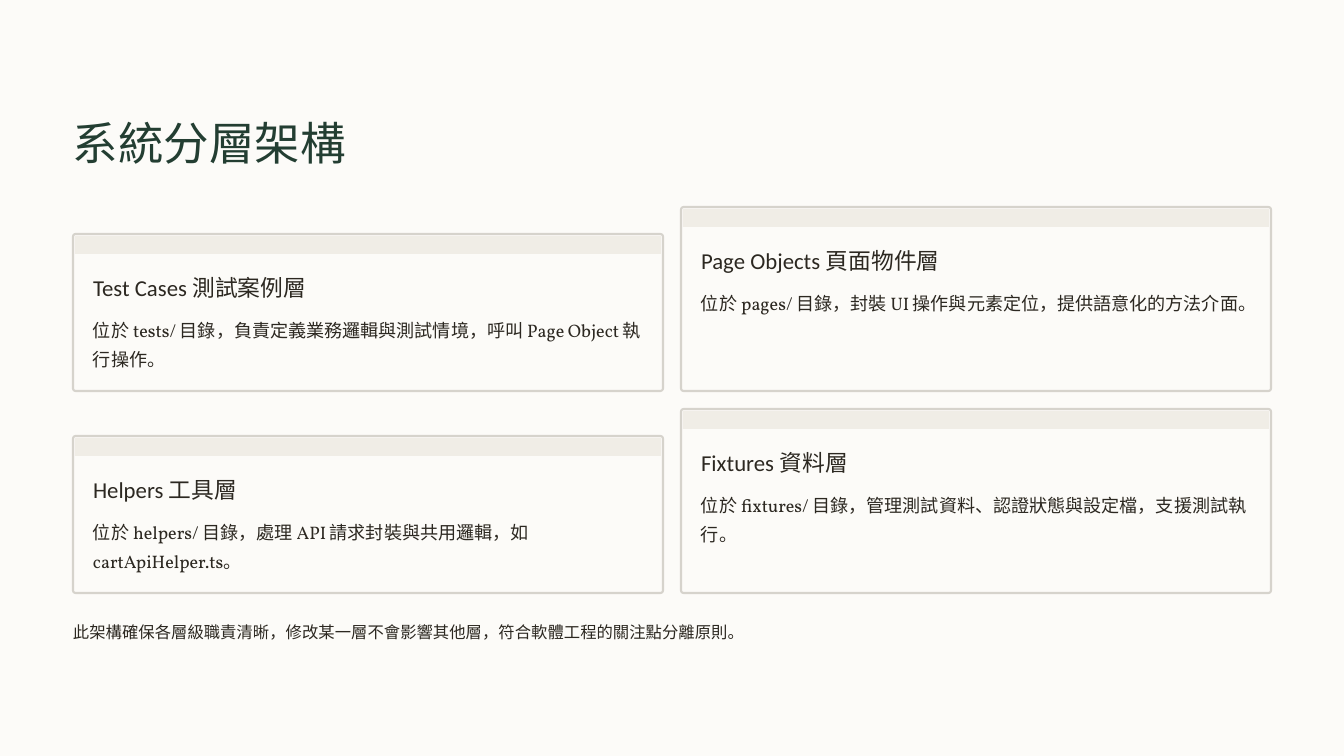
"""Build a slide showing the four layers of a test system."""
from pptx import Presentation
from pptx.dml.color import RGBColor
from pptx.enum.shapes import MSO_SHAPE as SHAPE
from pptx.util import Pt

PX = 914400 // 84
COLORS = {"paper": "FCFBF8", "band": "F0EDE6", "border": "D6D3CC",
          "title": "233E32", "text": "2C2821"}
LEFT, CARD_W, COL_STEP = 73, 590, 608
BOTTOM, ROW_STEP = 391, 202
CARD_HEIGHTS = [157, 184]
PAD, INSET, BAND_H = 20, 2, 18
RADIUS = 2.7

LAYERS = [
    ("Test Cases 測試案例層",
     "位於 tests/ 目錄，負責定義業務邏輯與測試情境，呼叫 Page Object 執行操作。"),
    ("Page Objects 頁面物件層",
     "位於 pages/ 目錄，封裝 UI 操作與元素定位，提供語意化的方法介面。"),
    ("Helpers 工具層",
     "位於 helpers/ 目錄，處理 API 請求封裝與共用邏輯，如 cartApiHelper.ts。"),
    ("Fixtures 資料層",
     "位於 fixtures/ 目錄，管理測試資料、認證狀態與設定檔，支援測試執行。"),
]

prs = Presentation()
prs.slide_width, prs.slide_height = 1344 * PX, 756 * PX
s = prs.slides.add_slide(prs.slide_layouts[6])
s.background.fill.solid()
s.background.fill.fore_color.rgb = RGBColor.from_string(COLORS["paper"])


def add_text(text, x, y, w, h, size, spacing, font="Calibri", color="text", wrap=False):
    tf = s.shapes.add_textbox(x * PX, y * PX, w * PX, h * PX).text_frame
    tf.margin_left = tf.margin_top = tf.margin_right = tf.margin_bottom = 0
    tf.word_wrap = wrap
    p = tf.paragraphs[0]
    p.text = text
    p.line_spacing = Pt(spacing)
    r = p.runs[0]
    r.font.size, r.font.name = Pt(size), font
    r.font.color.rgb = RGBColor.from_string(COLORS[color])


def add_panel(x, y, w, h, radius, fill, border=None):
    sp = s.shapes.add_shape(SHAPE.ROUNDED_RECTANGLE, x * PX, y * PX, w * PX, h * PX)
    sp.adjustments[0] = radius / h
    sp.shadow.inherit = False
    sp.fill.solid()
    sp.fill.fore_color.rgb = RGBColor.from_string(COLORS[fill])
    if border:
        sp.line.color.rgb = RGBColor.from_string(COLORS[border])
        sp.line.width = Pt(1.8)
    else:
        sp.line.fill.background()


add_text("系統分層架構", LEFT, 113, 456, 57, 39, 48.5, color="title")

for i, (name, detail) in enumerate(LAYERS):
    row, col = divmod(i, 2)
    h = CARD_HEIGHTS[col]
    x = LEFT + col * COL_STEP
    y = BOTTOM + row * ROW_STEP - h
    add_panel(x, y, CARD_W, h, RADIUS, "paper", "border")
    add_panel(x + INSET, y + INSET, CARD_W - 2 * INSET, BAND_H, 0.2, "band")
    add_text(name, x + PAD, y + 39, 250, 29, 19.5, 24)
    add_text(detail, x + PAD, y + 78, CARD_W - 2 * PAD, 58, 15.5, 25, "Vollkorn", wrap=True)

add_text("此架構確保各層級職責清晰，修改某一層不會影響其他層，符合軟體工程的關注點分離原則。",
         LEFT, 613, 1198, 29, 14, 25)

prs.save("out.pptx")
